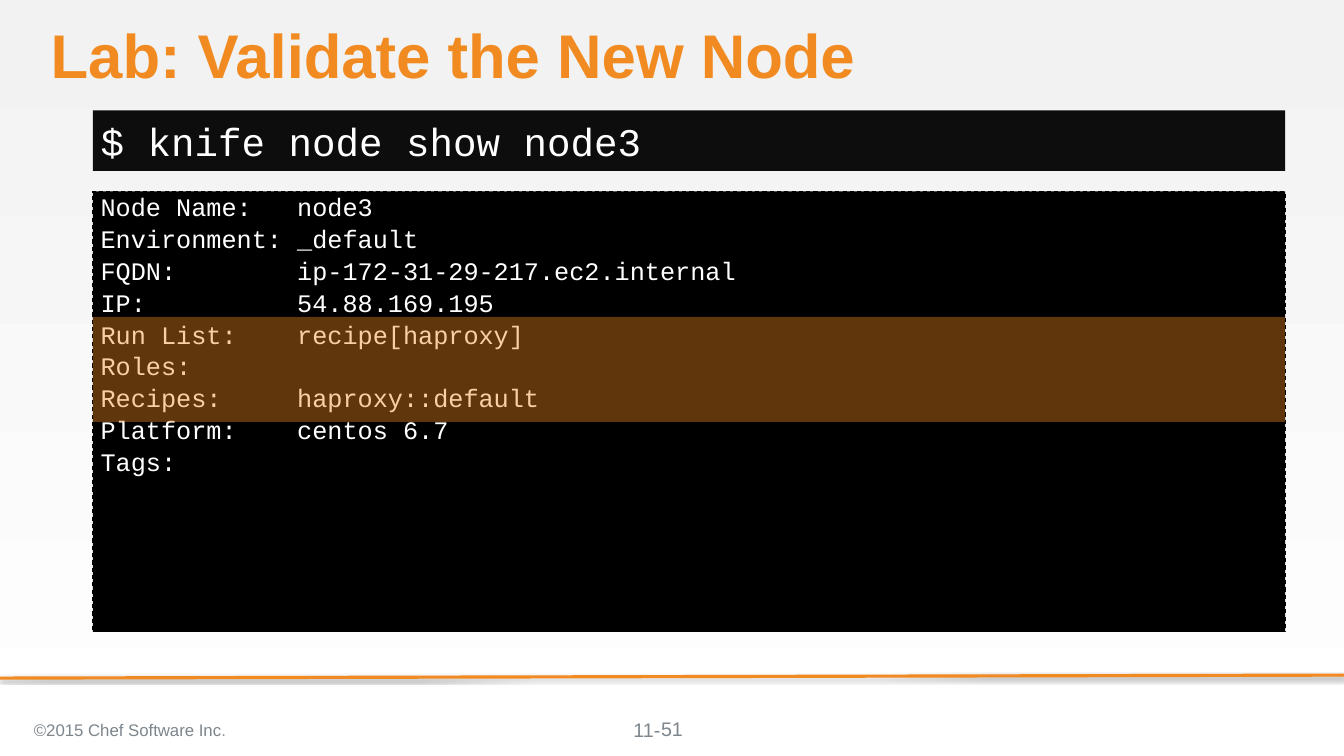
from lxml import etree
from pptx import Presentation
from pptx import util as u
from pptx.dml.color import RGBColor
from pptx.enum import dml, shapes, text
from pptx.oxml import parse_xml
from pptx.oxml.ns import nsdecls, qn

ORANGE = RGBColor(0xF1, 0x8B, 0x21)
WHITE = RGBColor(0xFF, 0xFF, 0xFF)
BLACK = RGBColor(0, 0, 0)
CHARCOAL = RGBColor(0x0D, 0x0D, 0x0D)
PALE_GREY = RGBColor(0xF2, 0xF2, 0xF2)
FOOTER_GREY = RGBColor(0x7D, 0x86, 0x8C)
STOP_GREY = RGBColor(0x92, 0x94, 0x94)

TITLE_FONT = dict(name="Arial", size=u.Pt(58.7), bold=True)
COMMAND_FONT = dict(name="Courier New", size=u.Pt(37.3))
OUTPUT_FONT = dict(name="Courier New", size=u.Pt(24))
COPYRIGHT_FONT = dict(name="Arial", size=u.Pt(16))
NUMBER_FONT = dict(name="Arial", size=u.Pt(18.7))

PANEL_LEFT, PANEL_WIDTH = 1.23, 15.77
COMMAND = "$ knife node show node3"
NODE_FIELDS = [
    ("Node Name:", "node3"),
    ("Environment:", "_default"),
    ("FQDN:", "ip-172-31-29-217.ec2.internal"),
    ("IP:", "54.88.169.195"),
    ("Run List:", "recipe[haproxy]"),
    ("Roles:", ""),
    ("Recipes:", "haproxy::default"),
    ("Platform:", "centos 6.7"),
    ("Tags:", ""),
]


def apply(target, values):
    for name, value in values.items():
        setattr(target, name, value)


def place(shape, left, top, width, height):
    apply(shape, dict(left=u.Inches(left), top=u.Inches(top),
                      width=u.Inches(width), height=u.Inches(height)))


def set_frame(frame, anchor, insets=(0.1, 0.05, 0.1, 0.05)):
    sides = ("margin_left", "margin_top", "margin_right", "margin_bottom")
    apply(frame, dict(zip(sides, map(u.Inches, insets))))
    apply(frame, dict(word_wrap=True, vertical_anchor=anchor,
                      auto_size=text.MSO_AUTO_SIZE.NONE))


def write_lines(frame, lines, font, color, spacing):
    """Write one unbulleted paragraph per line."""
    for number, line in enumerate(lines):
        paragraph = frame.paragraphs[0] if number == 0 else frame.add_paragraph()
        paragraph.text = line
        properties = paragraph._p.get_or_add_pPr()
        properties.set("marL", "0")
        properties.set("indent", "0")
        etree.SubElement(properties, qn("a:buNone"))
        apply(paragraph, dict(alignment=text.PP_ALIGN.LEFT, space_before=u.Pt(0), **spacing))
        apply(paragraph.runs[0].font, font)
        paragraph.runs[0].font.color.rgb = color


def fill_solid(shape, color):
    shape.fill.solid()
    shape.fill.fore_color.rgb = color


def add_footer(slide, box, runs, font, align=text.PP_ALIGN.LEFT,
               anchor=text.MSO_ANCHOR.MIDDLE, insets=(0.1, 0.05, 0.1, 0.05)):
    label = slide.shapes.add_textbox(*map(u.Inches, box))
    set_frame(label.text_frame, anchor, insets)
    paragraph = label.text_frame.paragraphs[0]
    paragraph.alignment = align
    for words, color in runs:
        run = paragraph.add_run()
        run.text = words
        apply(run.font, font)
        run.font.color.rgb = color


def set_background(slide):
    fill = slide.background.fill
    fill.gradient()
    fill.gradient_angle = 270
    for stop, color, position in zip(fill.gradient_stops, (PALE_GREY, WHITE), (0, 1)):
        stop.color.rgb = color
        stop.position = position


def add_footer_rule(slide):
    rule = slide.shapes.add_connector(
        shapes.MSO_CONNECTOR.STRAIGHT,
        u.Inches(17.78), u.Inches(8.93), u.Inches(0), u.Inches(8.97))
    rule.line.color.rgb = ORANGE
    rule.line.width = u.Pt(3)
    rule._element.spPr.append(parse_xml(
        f'<a:effectLst {nsdecls("a")}>'
        f'<a:outerShdw blurRad="{u.Pt(3.1)}" dist="{u.Pt(1.8)}" dir="5400000" rotWithShape="0">'
        '<a:srgbClr val="000000"><a:alpha val="35000"/></a:srgbClr>'
        '</a:outerShdw></a:effectLst>'))


def add_highlight(slide):
    """Lay a translucent band over the run list, roles and recipes."""
    band = slide.shapes.add_shape(
        shapes.MSO_SHAPE.RECTANGLE,
        *map(u.Inches, (PANEL_LEFT, 4.19, PANEL_WIDTH, 1.39)))
    band.shadow.inherit = False
    fill_solid(band, ORANGE)
    band.line.fill.background()
    color = band._element.spPr.find(qn("a:solidFill"))[0]
    etree.SubElement(color, qn("a:alpha")).set("val", "40000")


def main():
    deck = Presentation()
    deck.slide_width, deck.slide_height = u.Inches(17.78), u.Inches(10)
    slide = deck.slides.add_slide(deck.slide_layouts[3])
    title, output, command = slide.placeholders
    set_background(slide)
    add_footer_rule(slide)

    # Title
    place(title, 0.67, 0.33, 16.33, 0.91)
    set_frame(title.text_frame, text.MSO_ANCHOR.TOP, (0, 0, 0, 0))
    write_lines(title.text_frame, ["Lab: Validate the New Node"], TITLE_FONT, ORANGE,
                dict(line_spacing=0.9))

    # Command and its output
    place(command, PANEL_LEFT, 1.46, PANEL_WIDTH, 0.8)
    fill_solid(command, CHARCOAL)
    set_frame(command.text_frame, text.MSO_ANCHOR.MIDDLE, (0.1, 0, 0, 0))
    write_lines(command.text_frame, [COMMAND], COMMAND_FONT, WHITE, {})

    place(output, PANEL_LEFT, 2.53, PANEL_WIDTH, 5.83)
    fill_solid(output, BLACK)
    output.line.color.rgb = BLACK
    apply(output.line, dict(width=u.Pt(1), dash_style=dml.MSO_LINE.DASH))
    set_frame(output.text_frame, text.MSO_ANCHOR.TOP)
    listing = [f"{field:<13}{value}".rstrip() for field, value in NODE_FIELDS]
    write_lines(output.text_frame, listing, OUTPUT_FONT, WHITE,
                dict(line_spacing=0.9, space_after=u.Pt(4.4)))
    add_highlight(slide)

    # Footer
    add_footer(slide, (0.35, 9.38, 6.21, 0.56),
               [("©2015 Chef Software Inc", FOOTER_GREY), (".", STOP_GREY)], COPYRIGHT_FONT)
    add_footer(slide, (8.38, 9.49, 0.76, 0.31), [("11-", FOOTER_GREY)], NUMBER_FONT,
               anchor=text.MSO_ANCHOR.TOP, insets=(0, 0, 0, 0))
    add_footer(slide, (6.89, 9.38, 4, 0.53), [("51", FOOTER_GREY)], NUMBER_FONT,
               align=text.PP_ALIGN.CENTER)

    deck.save("out.pptx")


if __name__ == "__main__":
    main()
